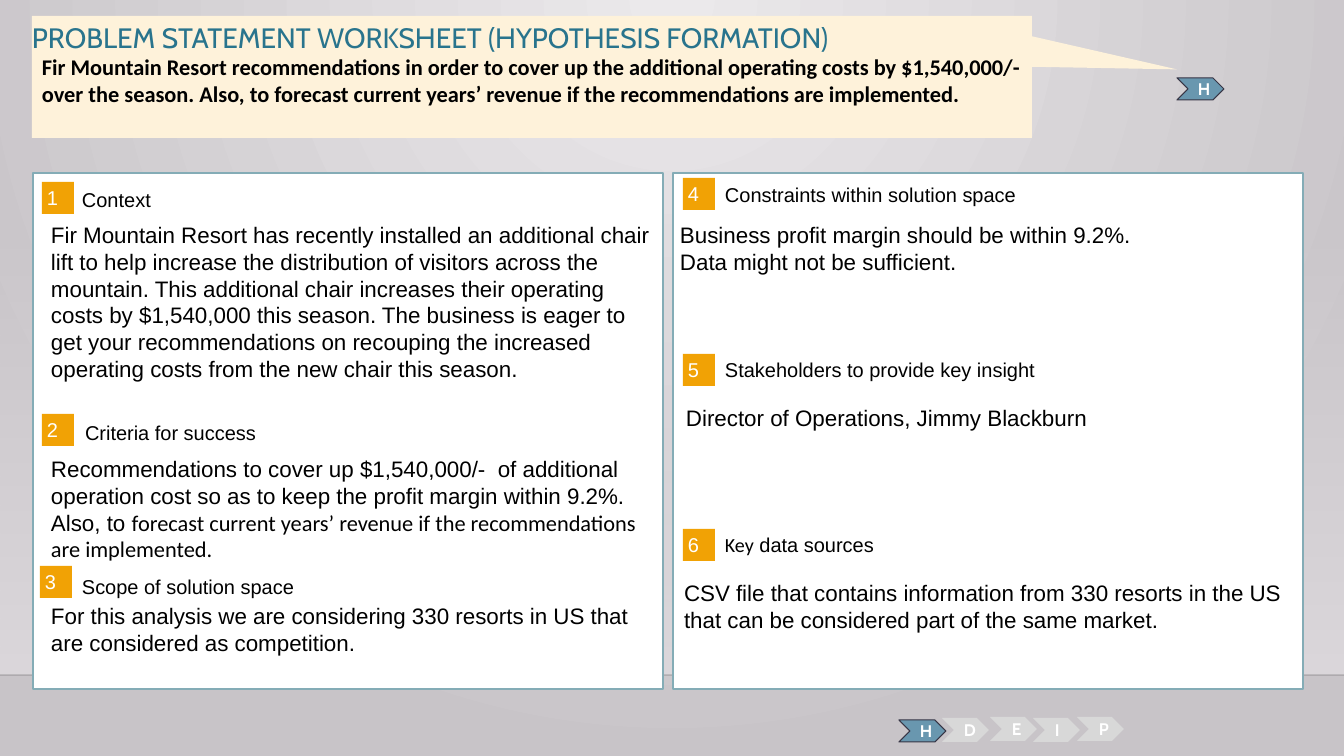
from collections import namedtuple

from lxml.etree import SubElement
from pptx import Presentation
from pptx.dml.color import RGBColor as Rgb
from pptx.enum.shapes import MSO_CONNECTOR as Link, MSO_SHAPE as Kind
from pptx.enum.text import MSO_ANCHOR as Anchor, PP_ALIGN as Align
from pptx.oxml.ns import qn
from pptx.util import Emu, Pt

PIXEL = 914400 / 100.8
COLORS = {
    "glow": "EBE9EB", "backdrop": "C8C4C8", "band": "DCD8DC", "floor": "000001",
    "panel": "FFFFFF", "border": "84ACB6", "badge": "F1A205", "active": "6997AF",
    "outline": "373545", "idle": "D8D8D8", "callout": "FEF2DA", "title": "29748D",
    "black": "000000", "white": "FFFFFF",
}
Box = namedtuple("Box", "left top width height")
Section = namedtuple("Section", "number badge heading body paras")

LEFT_SECTIONS = [
    Section("1", (9, 9), Box(49, 14, 396, 25), Box(8, 43, 620, 196), [
        "Fir Mountain Resort has recently installed an additional chair lift to help "
        "increase the distribution of visitors across the mountain. This additional chair "
        "increases their operating costs by $1,540,000 this season. The business is eager "
        "to get your recommendations on recouping the increased operating costs from the "
        "new chair this season."]),
    Section("2", (9, 241), Box(52, 247, 396, 25), Box(8, 277, 623, 99), [
        [("Recommendations to cover up $1,540,000/-  of additional operation cost so as to "
          "keep the profit margin within 9.2%. Also, to ", "Arial"),
         ("forecast current years’ revenue if the recommendations are implemented.",
          "Calibri")]]),
    Section("3", (7, 393), Box(49, 390, 549, 47), Box(8, 424, 625, 83), [
        "For this analysis we are considering 330 resorts in US that are considered as "
        "competition."]),
]
RIGHT_SECTIONS = [
    Section("4", (10, 5), Box(52, 9, 396, 25), Box(-3, 43, 618, 119), [
        "Business profit margin should be within 9.2%.", "Data might not be sufficient."]),
    Section("5", (10, 181), Box(52, 184, 396, 25), Box(3, 226, 613, 98), [
        "Director of Operations, Jimmy Blackburn"]),
    Section("6", (10, 356), Box(52, 359, 396, 25), Box(1, 401, 618, 106), [
        "CSV file that contains information from 330 resorts in the US that can be "
        "considered part of the same market."]),
]
HEADINGS = {
    "1": "Context", "2": "Criteria for success", "3": "Scope of solution space",
    "4": "Constraints within solution space", "5": "Stakeholders to provide key insight",
    "6": [("Key", "Calibri"), (" data sources", "Arial")],
}


def px(value):
    """Turn pixels into EMU."""
    return Emu(round(value * PIXEL))


def inside(outer, inner):
    """Move a relative box into the frame of its outer box."""
    return Box(outer.left + inner.left, outer.top + inner.top, inner.width, inner.height)


def color(name):
    """Look up a named colour."""
    return Rgb.from_string(COLORS[name])


def write(shape, paras, size=16, font="Arial", ink="black", bold=False,
          align=Align.LEFT, anchor=Anchor.TOP, inset=(10, 5)):
    """Fill a shape with paragraphs, each a string or a list of (text, font) pairs."""
    frame = shape.text_frame
    frame.word_wrap = True
    frame.vertical_anchor = anchor
    frame.margin_left = frame.margin_right = px(inset[0])
    frame.margin_top = frame.margin_bottom = px(inset[1])
    for index, pieces in enumerate(paras):
        para = frame.add_paragraph() if index else frame.paragraphs[0]
        para.alignment = align
        for text, face in [(pieces, font)] if isinstance(pieces, str) else pieces:
            span = para.add_run()
            span.text = text
            span.font.name, span.font.size, span.font.bold = face, Pt(size), bold
            span.font.color.rgb = color(ink)


def add_text(page, box, paras, **style):
    """Place a text box."""
    write(page.shapes.add_textbox(*map(px, box)), paras, **style)


def add_block(page, box, fill, kind=Kind.RECTANGLE, line=None, weight=1.5):
    """Place a flat shape with an optional outline."""
    shape = page.shapes.add_shape(kind, *map(px, box))
    shape.shadow.inherit = False
    shape.fill.solid()
    shape.fill.fore_color.rgb = color(fill)
    if line:
        shape.line.color.rgb = color(line)
        shape.line.width = Pt(weight)
    else:
        shape.line.fill.background()
    return shape


def set_alpha(element, percent):
    """Give the first colour inside an element an opacity."""
    tint = next(element.iter(qn("a:srgbClr")))
    SubElement(tint, qn("a:alpha"), val=str(percent * 1000))


def set_gradient(fill, first, last):
    """Give a fill two gradient stops."""
    fill.gradient()
    for stop, name, position in zip(fill.gradient_stops, (first, last), (0, 1)):
        stop.color.rgb = color(name)
        stop.position = position


def draw_backdrop(page, box):
    """Paint the radial background, the fading band and the floor line."""
    set_gradient(page.background.fill, "glow", "backdrop")
    gradient = next(page.element.iter(qn("a:gradFill")))
    gradient.remove(gradient.find(qn("a:lin")))
    path = SubElement(gradient, qn("a:path"), path="circle")
    SubElement(path, qn("a:fillToRect"), l="43000", t="0", r="43000", b="100000")

    floor = box.top + 675
    band = add_block(page, Box(box.left, box.top + 223, box.width, 452), "band")
    set_gradient(band.fill, "band", "band")
    band.fill.gradient_angle = 270
    set_alpha(band.element, 0)

    line = page.shapes.add_connector(
        Link.STRAIGHT, px(box.left), px(floor), px(box.left + box.width), px(floor))
    line.line.color.rgb = color("floor")
    line.line.width = Pt(1)
    set_alpha(line.element, 20)
    SubElement(line.element.spPr, qn("a:effectLst"))


def draw_panel(page, box, sections):
    """Draw a bordered panel with its numbered sections."""
    add_block(page, box, "panel", line="border")
    for section in sections:
        badge = add_block(page, inside(box, Box(*section.badge, 32, 32)), "badge")
        write(badge, [section.number], size=14.3, ink="white", anchor=Anchor.MIDDLE,
              inset=(5, 5))
        add_text(page, inside(box, section.heading), [HEADINGS[section.number]],
                 size=14.3, anchor=Anchor.MIDDLE, inset=(0, 0))
        add_text(page, inside(box, section.body), section.paras)


def draw_step(page, box, letter, active=False):
    """Draw one chevron of the process tracker."""
    step = add_block(page, box, "active" if active else "idle", Kind.CHEVRON,
                     "outline" if active else None, 0.75)
    write(step, [letter], size=12, font="Cabin", ink="white", bold=True,
          align=Align.CENTER, anchor=Anchor.MIDDLE)


def draw_tracker(page, box):
    """Draw the row of process steps with the first one active."""
    places = [(0, 3), (43, 1), (91, 0), (134, 1), (178, 0)]
    for letter, (left, top) in zip("HDEIP", places):
        height = 22 if letter == "H" else box.height
        draw_step(page, inside(box, Box(left, top, 47, height)), letter, letter == "H")


def draw_header(page, box):
    """Draw the callout with the title and the problem statement."""
    callout = add_block(page, box, "callout", Kind.RECTANGULAR_CALLOUT)
    callout.adjustments[0], callout.adjustments[1] = 0.645, -0.062
    add_text(page, inside(box, Box(0, 5, 1125, 27)),
             ["PROBLEM STATEMENT WORKSHEET (HYPOTHESIS FORMATION)"],
             size=20, font="Cabin", ink="title", inset=(0, 0))
    add_text(page, inside(box, Box(0, 32, box.width, 91)), [
        "Fir Mountain Resort recommendations in order to cover up the additional operating "
        "costs by $1,540,000/- over the season. Also, to forecast current years’ revenue if "
        "the recommendations are implemented."], font="Calibri", bold=True)


def main():
    """Build and save the worksheet."""
    deck = Presentation()
    deck.slide_width, deck.slide_height = px(1344), px(756)
    page = deck.slides.add_slide(deck.slide_layouts[6])
    draw_backdrop(page, Box(0, 0, 1344, 756))
    for left, sections in ((33, LEFT_SECTIONS), (673, RIGHT_SECTIONS)):
        draw_panel(page, Box(left, 173, 630, 516), sections)
    draw_tracker(page, Box(899, 717, 225, 24))
    draw_step(page, Box(1177, 78, 47, 22), "H", True)
    draw_header(page, Box(32, 16, 1000, 122))
    deck.save("out.pptx")


main()
